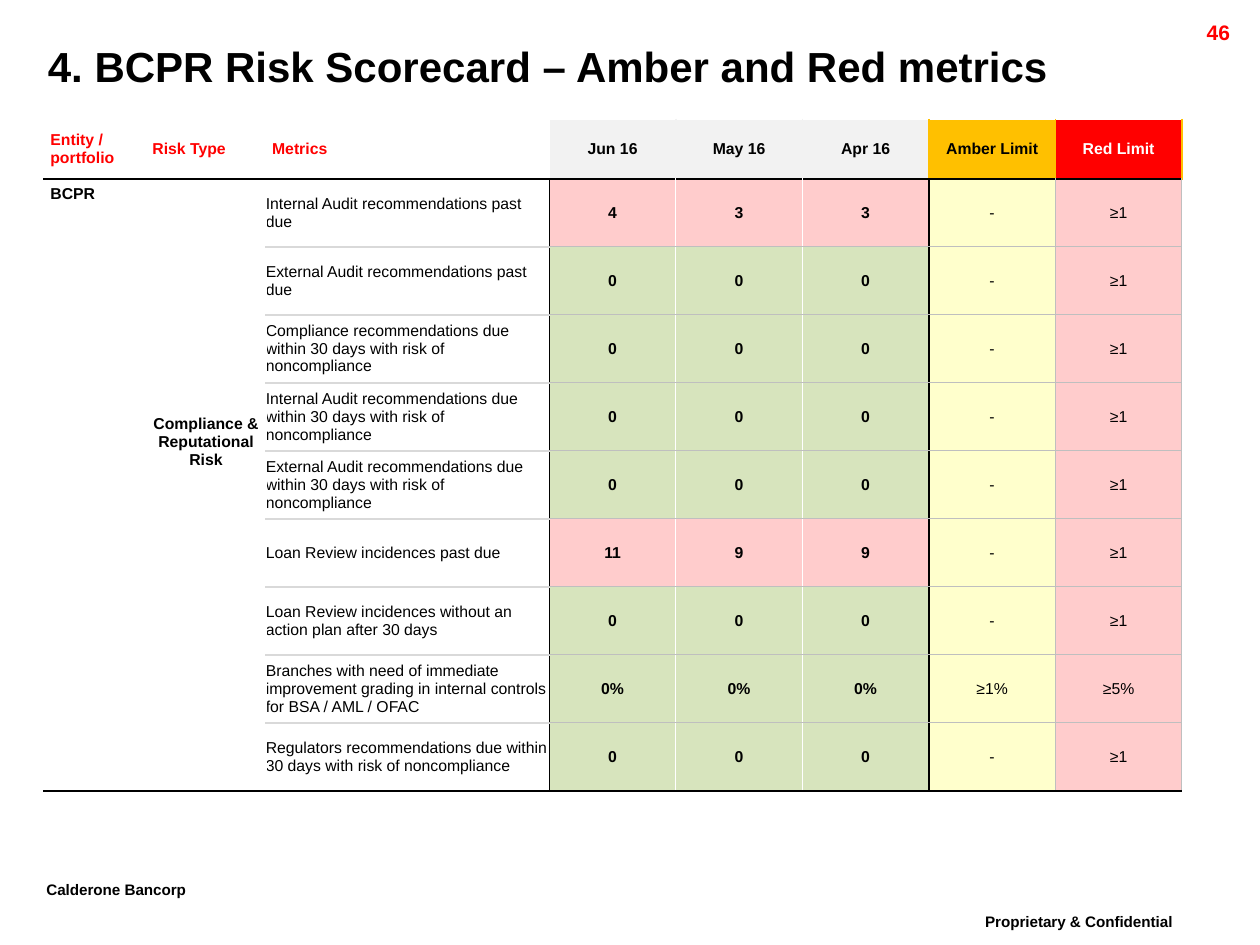
from lxml import etree
from pptx import Presentation
from pptx.dml.color import RGBColor
from pptx.enum.text import MSO_ANCHOR, MSO_AUTO_SIZE, PP_ALIGN
from pptx.oxml.ns import qn
from pptx.util import Inches, Pt

LEFT, CENTER, RIGHT = PP_ALIGN.LEFT, PP_ALIGN.CENTER, PP_ALIGN.RIGHT
TOP, MIDDLE = MSO_ANCHOR.TOP, MSO_ANCHOR.MIDDLE
NO_AUTOFIT = MSO_AUTO_SIZE.NONE

BLACK = RGBColor(0x00, 0x00, 0x00)
WHITE = RGBColor(0xFF, 0xFF, 0xFF)
RED = RGBColor(0xFF, 0x00, 0x00)
AMBER = RGBColor(0xFF, 0xC0, 0x00)
PALE_RED = RGBColor(0xFF, 0xCC, 0xCC)
PALE_AMBER = RGBColor(0xFF, 0xFF, 0xCC)
PALE_GREEN = RGBColor(0xD7, 0xE4, 0xBD)
HEADER_GREY = RGBColor(0xF2, 0xF2, 0xF2)
LIGHT_GREY = RGBColor(0xD9, 0xD9, 0xD9)
MID_GREY = RGBColor(0xBF, 0xBF, 0xBF)

FONT = "Arial"
SUPERSCRIPT = "30000"

HEADERS = [
    ("Entity / portfolio", RED, None),
    ("Risk Type", RED, None),
    ("Metrics", RED, None),
    ("Jun 16", BLACK, HEADER_GREY),
    ("May 16", BLACK, HEADER_GREY),
    ("Apr 16", BLACK, HEADER_GREY),
    ("Amber Limit", BLACK, AMBER),
    ("Red Limit", WHITE, RED),
]
METRICS = [
    ("Internal Audit recommendations past due", "4", "3", "3", "-", "≥1"),
    ("External Audit recommendations past due", "0", "0", "0", "-", "≥1"),
    ("Compliance recommendations due within 30 days with risk of noncompliance",
     "0", "0", "0", "-", "≥1"),
    ("Internal Audit recommendations due within 30 days with risk of noncompliance",
     "0", "0", "0", "-", "≥1"),
    ("External Audit recommendations due within 30 days with risk of noncompliance",
     "0", "0", "0", "-", "≥1"),
    ("Loan Review incidences past due", "11", "9", "9", "-", "≥1"),
    ("Loan Review incidences without an action plan after 30 days",
     "0", "0", "0", "-", "≥1"),
    ("Branches with need of immediate improvement grading in internal controls "
     "for BSA / AML / OFAC", "0%", "0%", "0%", "≥1%", "≥5%"),
    ("Regulators recommendations due within 30 days with risk of noncompliance",
     "0", "0", "0", "-", "≥1"),
]
FIRST_METRIC_ROW = 2
ROW_COUNT = FIRST_METRIC_ROW + len(METRICS)
COLUMN_COUNT = len(HEADERS)
LABEL_WIDTHS = [0.81, 0.95, 2.25]
TOP_HEIGHTS = [0.44, 0.47]

THIN, NORMAL = 0.75, 1
HEADER_EDGES = [WHITE] * 4 + [HEADER_GREY] * 2 + [AMBER] * 3
BODY_EDGES = [
    (WHITE, NORMAL), (WHITE, NORMAL), (WHITE, NORMAL), (BLACK, NORMAL),
    (WHITE, THIN), (WHITE, THIN), (BLACK, NORMAL), (MID_GREY, THIN), (MID_GREY, THIN),
]


def write_text(frame, text, size=9, color=BLACK, bold=True, align=LEFT, baseline=None):
    paragraph = frame.paragraphs[0]
    paragraph.alignment = align
    run = paragraph.add_run()
    run.text = text
    run.font.name = FONT
    run.font.size = Pt(size)
    run.font.bold = bold
    run.font.color.rgb = color
    if baseline:
        run._r.get_or_add_rPr().set("baseline", baseline)


def add_text(slide, box, text, wrap=True, **text_format):
    shape = slide.shapes.add_textbox(*map(Inches, box))
    shape.text_frame.word_wrap = wrap
    write_text(shape.text_frame, text, **text_format)


def place_title(slide, box, text):
    title = slide.shapes.title
    title.left, title.top, title.width, title.height = map(Inches, box)
    title.element.getparent().append(title.element)
    frame = title.text_frame
    frame.auto_size = NO_AUTOFIT
    frame.vertical_anchor = TOP
    write_text(frame, text, size=24)


def horizontal_edge(boundary, column):
    if boundary < FIRST_METRIC_ROW:
        return WHITE, NORMAL
    if boundary in (FIRST_METRIC_ROW, ROW_COUNT):
        return BLACK, NORMAL
    if column < 2:
        return WHITE, NORMAL
    return (LIGHT_GREY, NORMAL) if column == 2 else (MID_GREY, THIN)


def vertical_edge(row, boundary):
    if row == 0:
        return WHITE, NORMAL
    if row == 1:
        return HEADER_EDGES[boundary], NORMAL
    return BODY_EDGES[boundary]


def draw_borders(cell, row, column):
    edges = [
        ("a:lnL", vertical_edge(row, column)),
        ("a:lnR", vertical_edge(row, column + 1)),
        ("a:lnT", horizontal_edge(row, column)),
        ("a:lnB", horizontal_edge(row + 1, column)),
    ]
    properties = cell._tc.get_or_add_tcPr()
    for position, (tag, (color, width)) in enumerate(edges):
        line = etree.Element(qn(tag), w=str(Pt(width)))
        fill = etree.SubElement(line, qn("a:solidFill"))
        etree.SubElement(fill, qn("a:srgbClr"), val=str(color))
        properties.insert(position, line)


def fill_cell(cell, text, fill=None, inset=0, anchor=MIDDLE, **text_format):
    cell.margin_left = cell.margin_right = Inches(inset)
    cell.margin_top = cell.margin_bottom = Inches(inset)
    cell.vertical_anchor = anchor
    if fill:
        cell.fill.solid()
        cell.fill.fore_color.rgb = fill
    write_text(cell.text_frame, text, **text_format)


def size_grid(table, width, height):
    value_count = COLUMN_COUNT - len(LABEL_WIDTHS)
    value_width = (width - sum(LABEL_WIDTHS)) / value_count
    metric_height = (height - sum(TOP_HEIGHTS)) / len(METRICS)
    for column, size in zip(table.columns, LABEL_WIDTHS + [value_width] * value_count):
        column.width = Inches(size)
    for row, size in zip(table.rows, TOP_HEIGHTS + [metric_height] * len(METRICS)):
        row.height = Inches(size)


def add_scorecard(slide, box):
    frame = slide.shapes.add_table(ROW_COUNT, COLUMN_COUNT, *map(Inches, box))
    table = frame.table
    table.first_row = table.horz_banding = False
    size_grid(table, box[2], box[3])
    for row in range(ROW_COUNT):
        for column in range(COLUMN_COUNT):
            cell = table.cell(row, column)
            cell.fill.background()
            draw_borders(cell, row, column)
    table.cell(0, 0).merge(table.cell(0, COLUMN_COUNT - 1))
    table.cell(FIRST_METRIC_ROW, 1).merge(table.cell(ROW_COUNT - 2, 1))

    for column, (text, color, fill) in enumerate(HEADERS):
        fill_cell(table.cell(1, column), text, fill=fill, inset=0.05, color=color,
                  align=CENTER if fill else LEFT)
    fill_cell(table.cell(FIRST_METRIC_ROW, 0), "BCPR", inset=0.05, anchor=TOP)
    risk_type = table.cell(FIRST_METRIC_ROW, 1)
    fill_cell(risk_type, "Compliance & Reputational Risk", inset=0.05, align=CENTER)
    risk_type.margin_bottom = Inches(0.19)
    for row, (metric, *months, amber, red) in enumerate(METRICS, FIRST_METRIC_ROW):
        fill_cell(table.cell(row, 2), metric, bold=False)
        for column, value in enumerate(months, 3):
            status = PALE_GREEN if value in ("0", "0%") else PALE_RED
            fill_cell(table.cell(row, column), value, fill=status, align=CENTER)
        for column, value, fill in ((6, amber, PALE_AMBER), (7, red, PALE_RED)):
            fill_cell(table.cell(row, column), value, fill=fill, bold=False, align=CENTER)


def add_footer(slide):
    add_text(slide, (7.72, 7.17, 2.18, 0.35), "Proprietary & Confidential",
             size=15, baseline=SUPERSCRIPT)
    add_text(slide, (0.27, 6.91, 1.49, 0.35), "Calderone Bancorp", wrap=False,
             size=15, baseline=SUPERSCRIPT)


def main():
    presentation = Presentation()
    presentation.slide_width, presentation.slide_height = Inches(10), Inches(7.5)
    slide = presentation.slides.add_slide(presentation.slide_layouts[5])
    add_footer(slide)
    add_scorecard(slide, (0.35, 0.51, 9.03, 5.77))
    place_title(slide, (0.28, 0.27, 9.72, 0.5),
                "4. BCPR Risk Scorecard – Amber and Red metrics")
    add_text(slide, (8.91, 0.11, 0.95, 0.24), "46", size=12, color=RED, align=RIGHT)
    presentation.save("out.pptx")


if __name__ == "__main__":
    main()
